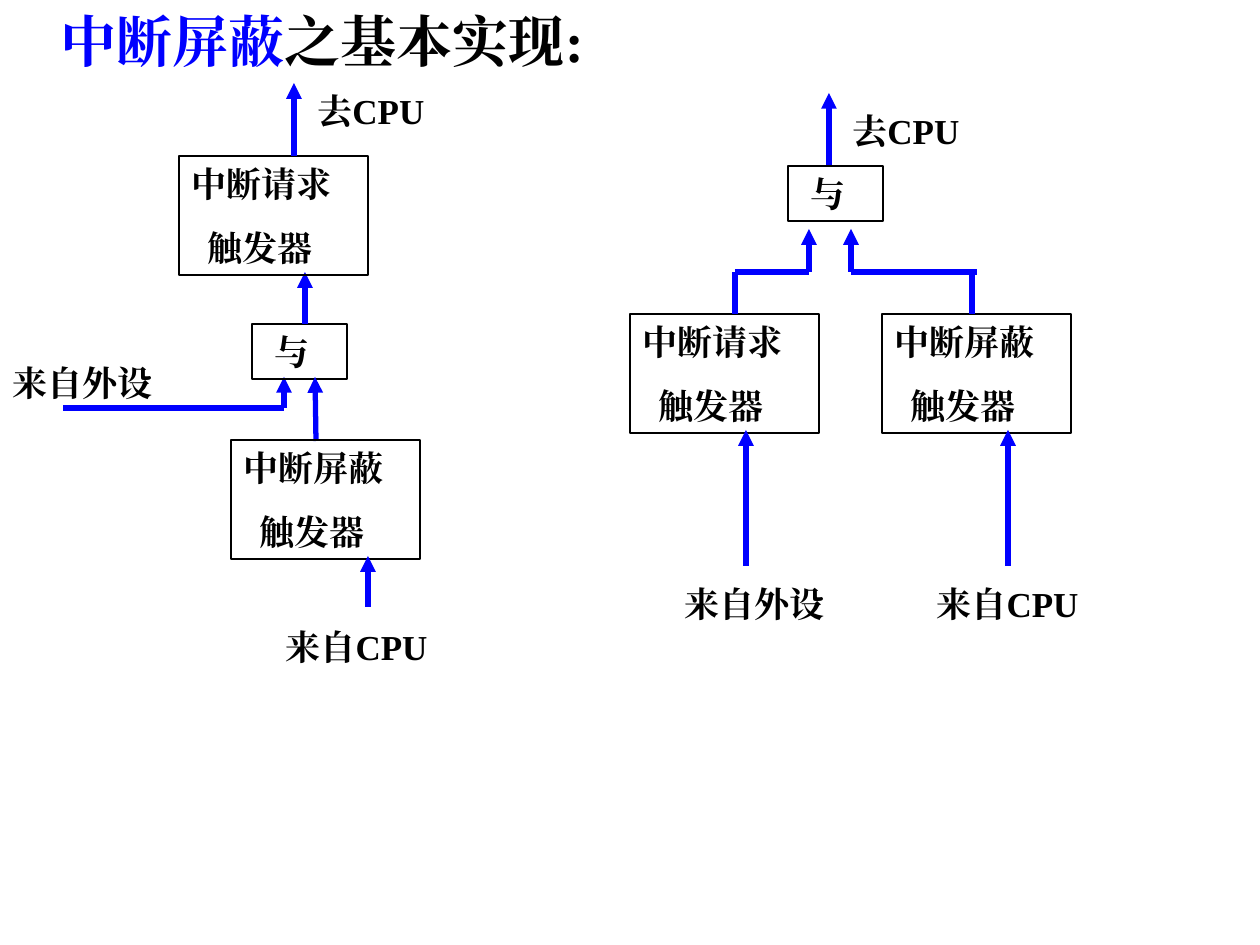
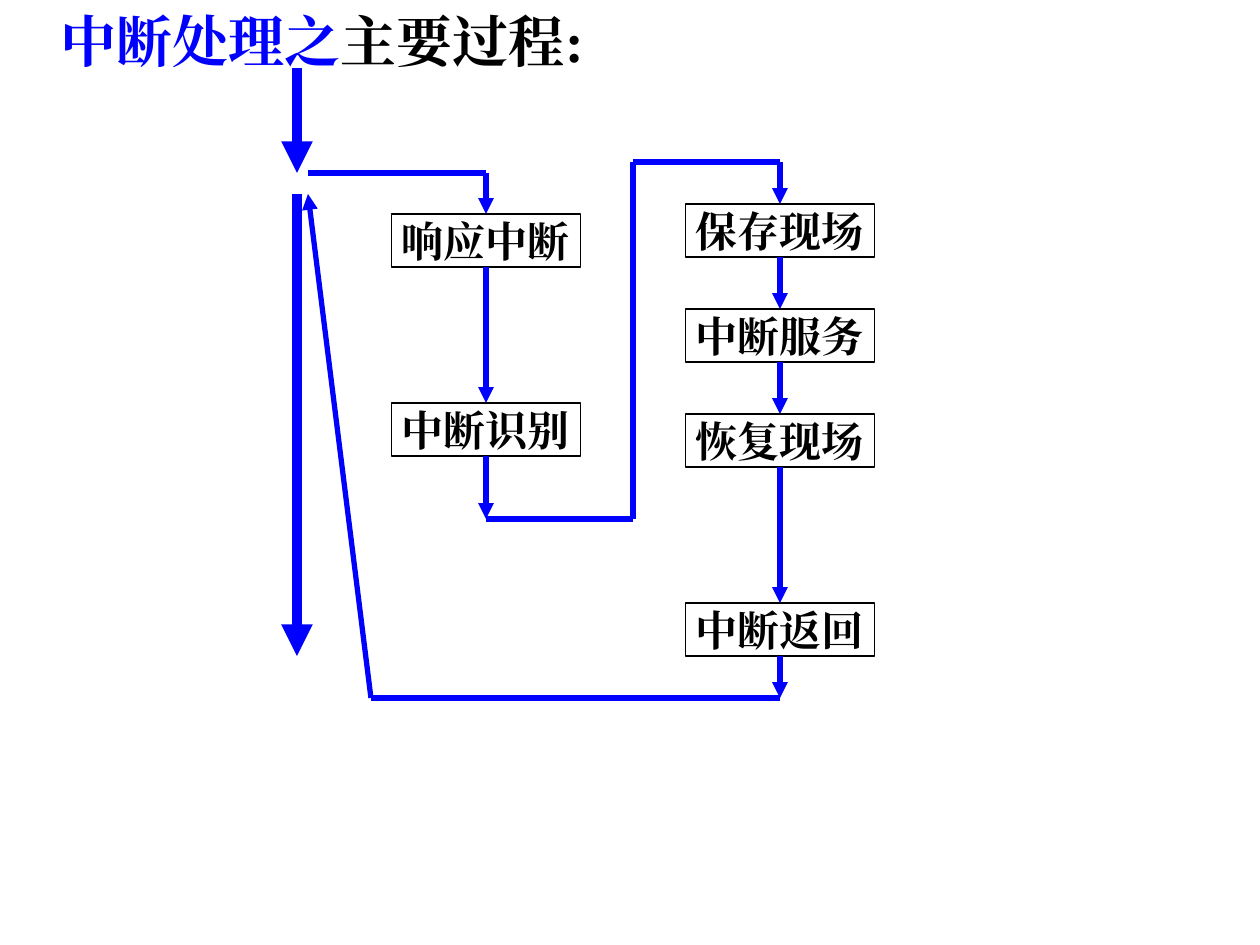
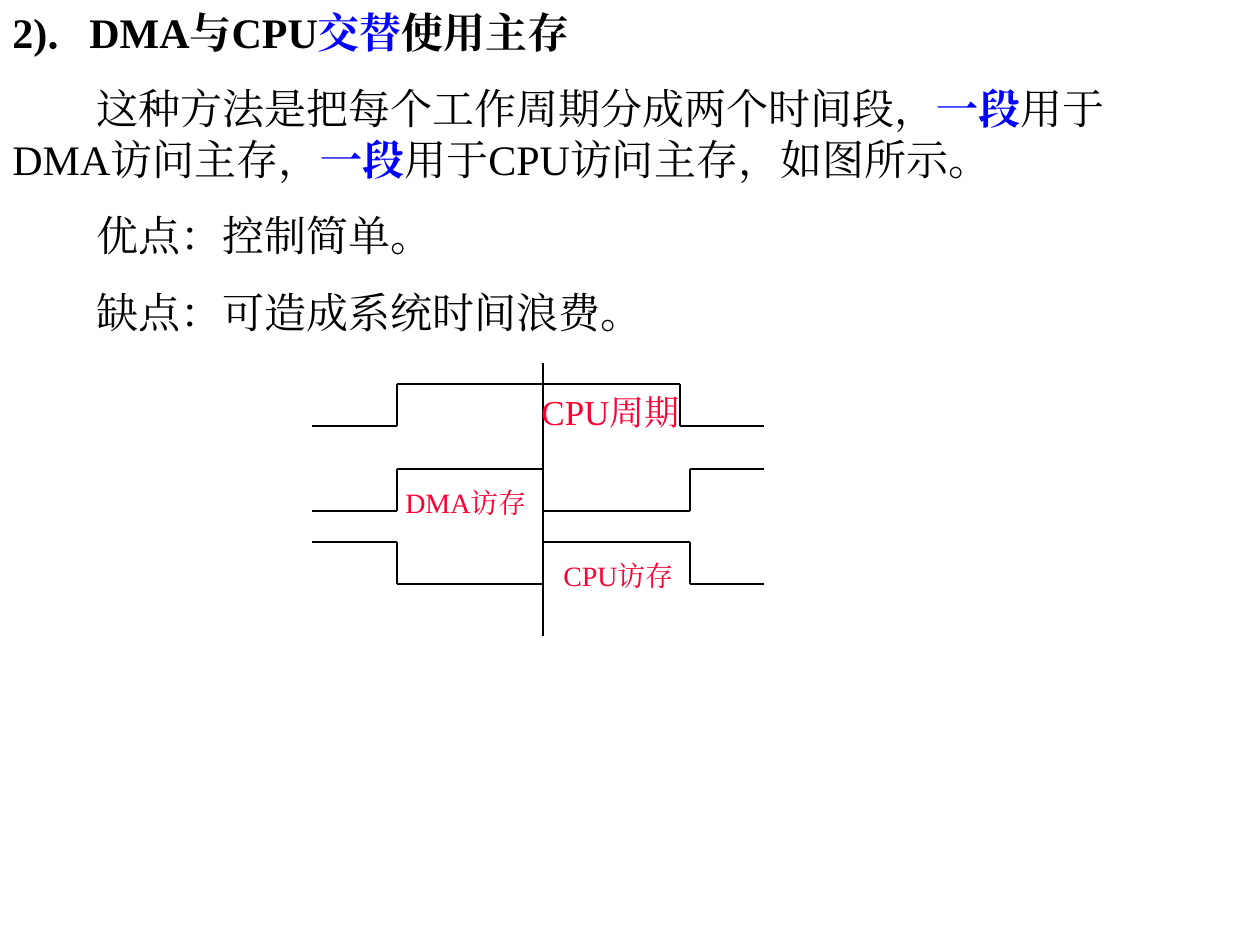
"""Build three slides on interrupt masking, interrupt handling and DMA timing."""
import dataclasses
import itertools

import lxml.etree
import pptx
import pptx.dml.color
import pptx.enum.shapes
import pptx.enum.text
import pptx.oxml.ns
import pptx.util

PX_PER_INCH = 126


@dataclasses.dataclass(frozen=True)
class Theme:
    """Colours, font and sizes shared by all slides."""
    font: str = "Times New Roman"
    ink: str = "000000"
    accent: str = "0000FF"
    signal: str = "FF0033"
    paper: str = "FFFFFF"
    title: int = 32
    body: int = 24
    label: int = 20
    small: int = 16
    hairline: float = 0.75
    outline: float = 1.5
    flow: float = 3
    main_flow: float = 6


THEME = Theme()


def px(length):
    """Turn pixels into EMU."""
    return pptx.util.Emu(round(length * 914400 / PX_PER_INCH))


def rgb(code):
    """Turn a hex code into a colour."""
    return pptx.dml.color.RGBColor.from_string(code)


def add_xml(parent, tag, **attributes):
    """Append a DrawingML element."""
    return lxml.etree.SubElement(parent, pptx.oxml.ns.qn(tag), attributes)


def write(paragraph, runs, size, indent=0, hang=0, before=0, align=None):
    """Write (text, colour, bold) runs into a paragraph."""
    properties = paragraph._p.get_or_add_pPr()
    properties.set("marL", str(px(hang)))
    properties.set("indent", str(px(indent)))
    paragraph.alignment = align
    if before:
        paragraph.space_before = pptx.util.Pt(before)
    for text, colour, bold in runs:
        run = paragraph.add_run()
        run.text = text
        run.font.size = pptx.util.Pt(size)
        run.font.bold = bold
        run.font.color.rgb = rgb(colour)
        run.font.name = THEME.font
        add_xml(run._r.get_or_add_rPr(), "a:ea", typeface=THEME.font)


@dataclasses.dataclass
class Region:
    """A part of a slide whose contents are placed from its top left corner."""
    slide: object
    left: int = 0
    top: int = 0

    def area(self, x, y, width, height):
        """Return a box in slide lengths."""
        return px(self.left + x), px(self.top + y), px(width), px(height)

    def text(self, x, y, width, height, wrap=True):
        """Add a text box and return its frame."""
        frame = self.slide.shapes.add_textbox(*self.area(x, y, width, height)).text_frame
        frame.word_wrap = wrap
        return frame

    def label(self, x, y, width, text, height=55):
        """Add a bold label."""
        write(self.text(x, y, width, height).paragraphs[0], [(text, THEME.ink, True)], THEME.label)

    def box(self, x, y, width, height, weight, fill=None):
        """Add an outlined rectangle and return its frame."""
        kind = pptx.enum.shapes.MSO_SHAPE.RECTANGLE
        rectangle = self.slide.shapes.add_shape(kind, *self.area(x, y, width, height))
        rectangle.shadow.inherit = False
        if fill:
            rectangle.fill.solid()
            rectangle.fill.fore_color.rgb = rgb(fill)
        else:
            rectangle.fill.background()
        rectangle.line.color.rgb = rgb(THEME.ink)
        rectangle.line.width = pptx.util.Pt(weight)
        rectangle.text_frame.vertical_anchor = pptx.enum.text.MSO_ANCHOR.TOP
        return rectangle.text_frame

    def route(self, *points, arrow=True, colour=THEME.accent, weight=THEME.flow):
        """Join points with lines, the last one ending in an arrowhead."""
        for start, end in itertools.pairwise(points):
            ends = [px(edge + value) for point in (start, end)
                    for edge, value in zip((self.left, self.top), point)]
            line = self.slide.shapes.add_connector(pptx.enum.shapes.MSO_CONNECTOR.STRAIGHT, *ends)
            line.line.color.rgb = rgb(colour)
            line.line.width = pptx.util.Pt(weight)
            if arrow and end == points[-1]:
                add_xml(line.line._get_or_add_ln(), "a:tailEnd", type="triangle")
            add_xml(line._element.spPr, "a:effectLst")


def title(slide, topic, rest):
    """Add the two-coloured slide title."""
    runs = [(topic, THEME.accent, True), (rest, THEME.ink, True)]
    write(Region(slide).text(0, 0, 635, 96).paragraphs[0], runs, THEME.title, hang=48)


def trigger(region, x, y, name):
    """Add a two-line trigger box."""
    frame = region.box(x, y, 189, 119, THEME.outline)
    left = pptx.enum.text.PP_ALIGN.LEFT
    write(frame.paragraphs[0], [(name, THEME.ink, True)], THEME.label, align=left)
    write(frame.add_paragraph(), [("触发器", THEME.ink, True)], THEME.label,
          hang=16, before=12.5, align=left)


def and_gate(region, x, y):
    """Add an AND gate box."""
    write(region.box(x, y, 95, 55, THEME.outline).paragraphs[0], [("与", THEME.ink, True)],
          THEME.label, hang=10, align=pptx.enum.text.PP_ALIGN.LEFT)


def mask_before_request(region):
    """Draw the circuit that masks before the request trigger."""
    region.route((63, 325), (284, 325), (284, 294))
    region.label(0, 272, 168, "来自外设")
    and_gate(region, 252, 241)
    region.route((305, 241), (305, 189))
    trigger(region, 179, 73, "中断请求")
    region.route((294, 73), (294, 0))
    region.label(305, 0, 158, "去CPU")
    region.route((316, 358), (315, 294))
    trigger(region, 231, 357, "中断屏蔽")
    region.route((368, 524), (368, 473))
    region.label(273, 536, 168, "来自CPU", 97)


def mask_after_request(region):
    """Draw the circuit that masks after the request trigger."""
    region.route((199, 73), (199, 0))
    and_gate(region, 158, 73)
    region.label(210, 10, 158, "去CPU")
    sources = [(0, "中断请求", 116, "来自外设", 55), (252, "中断屏蔽", 378, "来自CPU", 97)]
    for x, name, input_x, source, height in sources:
        trigger(region, x, 221, name)
        region.route((input_x, 473), (input_x, 337))
        region.label(x + 42, 483, 168, source, height)
    region.route((105, 221), (105, 179), (179, 179), (179, 136))
    region.route((342, 221), (342, 179), arrow=False)
    region.route((347, 179), (221, 179), (221, 136))


def step_column(region, center, steps, exit_y):
    """Stack step boxes joined by arrows, the last one leading to exit_y."""
    width, height = 189, 53
    for y, name in steps:
        frame = region.box(center - width / 2, y, width, height, THEME.hairline, THEME.paper)
        frame.word_wrap = False
        frame.vertical_anchor = pptx.enum.text.MSO_ANCHOR.MIDDLE
        write(frame.paragraphs[0], [(name, THEME.ink, True)], THEME.body,
              align=pptx.enum.text.PP_ALIGN.CENTER)
    targets = [y for y, name in steps[1:]] + [exit_y]
    for (y, name), target in zip(steps, targets):
        region.route((center, y + height), (center, target))


def interrupt_flow(region):
    """Draw the main program and the path through the interrupt steps."""
    program, gap, respond, riser, service = 11, 22, 200, 347, 494
    step_column(region, respond, [(146, "响应中断"), (335, "中断识别")], 451)
    step_column(region, service, [(136, "保存现场"), (241, "中断服务"),
                                  (346, "恢复现场"), (535, "中断返回")], 630)
    for start, end in [(0, 105), (126, 588)]:
        region.route((program, start), (program, end), weight=THEME.main_flow)
    region.route((gap, 105), (respond, 105), (respond, 146))
    region.route((respond, 451), (riser, 451), (riser, 94), (service, 94), (service, 136))
    region.route((service, 630), (85, 630), (gap, 126))


def dma_explanation(region):
    """Write the heading and paragraphs on alternating memory access."""
    def plain(text):
        return text, THEME.ink, False

    share = ("一段", THEME.accent, True)
    frame = region.text(0, 0, 1134, 344)
    heading = [("2)．DMA与CPU", THEME.ink, True), ("交替", THEME.accent, True),
               ("使用主存", THEME.ink, True)]
    write(frame.paragraphs[0], heading, THEME.body)
    for runs in [
        [plain("这种方法是把每个工作周期分成两个时间段，"), share,
         plain("用于 DMA访问主存，"), share, plain("用于CPU访问主存，如图所示。")],
        [plain("优点：控制简单。")],
        [plain("缺点：可造成系统时间浪费。")],
    ]:
        write(frame.add_paragraph(), runs, THEME.body, indent=84, before=15)


def wave(region, top, edges, high):
    """Draw a square wave that changes level at each edge."""
    def level():
        return top if high else top + 42

    points = [(0, level())]
    for edge in edges:
        points.append((edge, level()))
        high = not high
        points.append((edge, level()))
    points.append((452, level()))
    region.route(*points, arrow=False, colour=THEME.ink, weight=THEME.hairline)


def timing_diagram(region):
    """Draw the cycle, DMA and CPU access waves with their labels."""
    start, middle, end = 85, 231, 378
    wave(region, 21, (start, 368), False)
    wave(region, 106, (start, middle, end), False)
    wave(region, 179, (start, middle, end), True)
    region.route((middle, 0), (middle, 273), arrow=False, colour=THEME.ink, weight=THEME.hairline)
    for x, y, width, height, name, size in [
        (217, 21, 171, 55, "CPU周期", THEME.label),
        (81, 116, 152, 47, "DMA访存", THEME.small),
        (239, 189, 142, 47, "CPU访存", THEME.small),
    ]:
        frame = region.text(x, y, width, height, wrap=False)
        write(frame.paragraphs[0], [(name, THEME.signal, False)], size)


def main():
    """Build and save the presentation."""
    deck = pptx.Presentation()
    deck.slide_width, deck.slide_height = px(1260), px(945)
    masking, handling, sharing = [deck.slides.add_slide(deck.slide_layouts[6]) for _ in range(3)]
    title(masking, "中断屏蔽", "之基本实现:")
    mask_before_request(Region(masking, 0, 83))
    mask_after_request(Region(masking, 630, 93))
    title(handling, "中断处理之", "主要过程:")
    interrupt_flow(Region(handling, 286, 68))
    dma_explanation(Region(sharing))
    timing_diagram(Region(sharing, 312, 363))
    deck.save("out.pptx")


if __name__ == "__main__":
    main()
